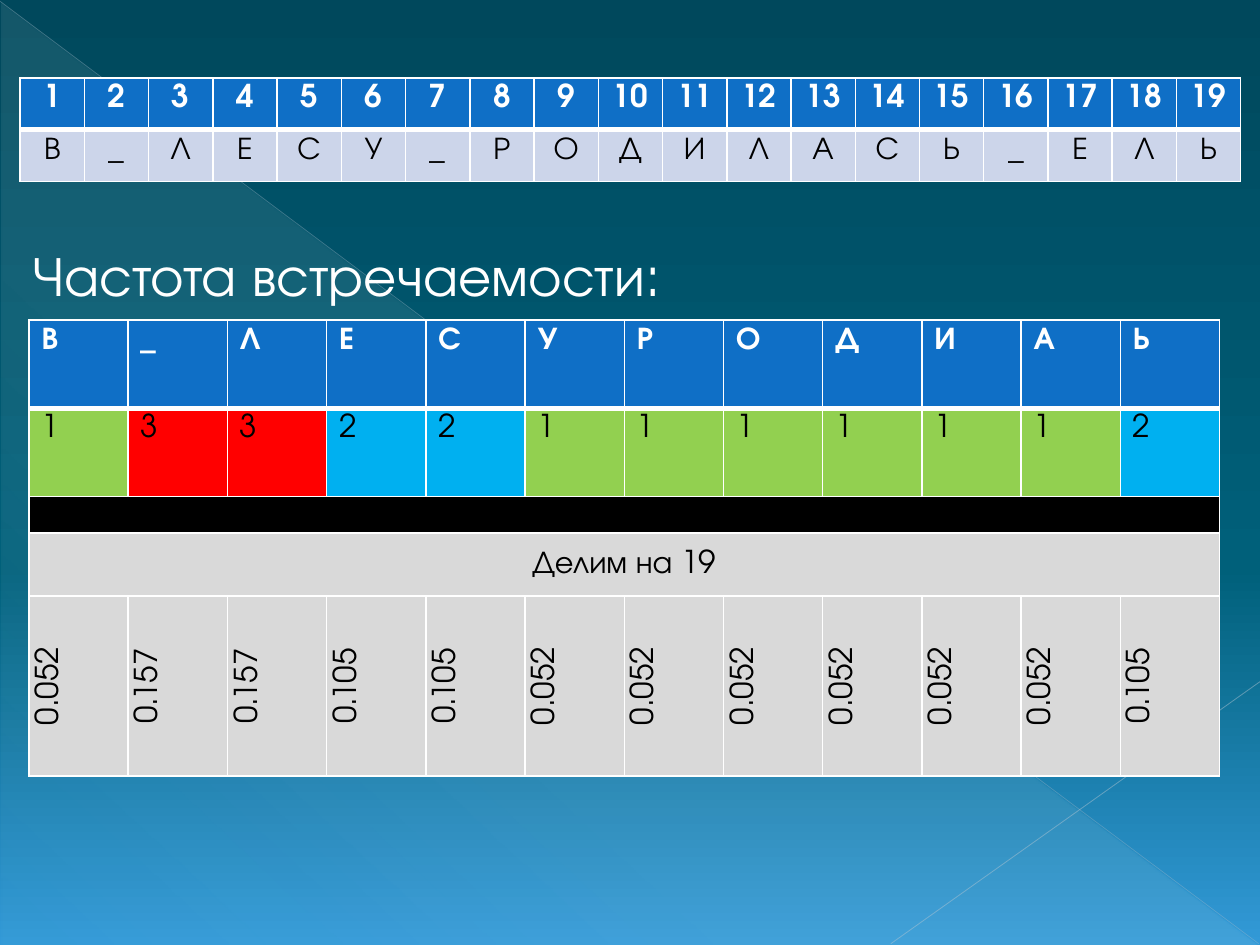
from collections import Counter

from lxml import etree
from pptx import Presentation
from pptx.dml.color import RGBColor
from pptx.enum.shapes import MSO_CONNECTOR, MSO_SHAPE
from pptx.enum.text import MSO_ANCHOR, PP_ALIGN
from pptx.oxml.ns import qn
from pptx.util import Inches, Pt

LEFT, CENTER = PP_ALIGN.LEFT, PP_ALIGN.CENTER
TOP, MIDDLE = MSO_ANCHOR.TOP, MSO_ANCHOR.MIDDLE
STRAIGHT, RIGHT_TRIANGLE = MSO_CONNECTOR.STRAIGHT, MSO_SHAPE.RIGHT_TRIANGLE

WHITE = RGBColor(0xFF, 0xFF, 0xFF)
BLACK = RGBColor(0x00, 0x00, 0x00)
HEADER_BLUE = RGBColor(0x0F, 0x6F, 0xC6)
PALE_BLUE = RGBColor(0xCC, 0xD5, 0xEA)
GREY = RGBColor(0xD9, 0xD9, 0xD9)
COUNT_COLORS = {
    1: RGBColor(0x92, 0xD0, 0x50),
    2: RGBColor(0x00, 0xB0, 0xF0),
    3: RGBColor(0xFF, 0x00, 0x00),
}
SKY_DARK = RGBColor(0x00, 0x48, 0x5C)
SKY_MID = RGBColor(0x00, 0x60, 0x7A)
SKY_LIGHT = RGBColor(0x32, 0x99, 0xD7)
MIST = RGBColor(0xDB, 0xF5, 0xF9)
LONG_RAY = RGBColor(0xAC, 0xC0, 0xCE)
SHORT_RAY = RGBColor(0xB5, 0xC7, 0xD3)

FONT = "TeX Gyre Adventor"
PHRASE = "В_ЛЕСУ_РОДИЛАСЬ_ЕЛЬ"


def sub(parent, tag, **attributes):
    return etree.SubElement(parent, qn(tag), **attributes)


def add_alpha(color_element, percent):
    sub(color_element, "a:alpha", val=str(percent * 1000))


def set_gradient(fill, owner, stops, angle):
    """Fill with stops of (position %, colour, opacity %)."""
    fill.gradient()
    gradient = owner.find(".//" + qn("a:gradFill"))
    for child in list(gradient):
        gradient.remove(child)
    stop_list = sub(gradient, "a:gsLst")
    for position, color, opacity in stops:
        stop = sub(stop_list, "a:gs", pos=str(position * 1000))
        add_alpha(sub(stop, "a:srgbClr", val=str(color)), opacity)
    sub(gradient, "a:lin", ang=str(angle * 60000), scaled="0")


def add_ray(slide, start, end, color, width, opacity):
    ray = slide.shapes.add_connector(
        STRAIGHT, *(Inches(value) for value in start + end))
    ray.line.color.rgb = color
    ray.line.width = Pt(width)
    add_alpha(ray.element.find(".//" + qn("a:srgbClr")), opacity)
    sub(ray.element.spPr, "a:effectLst")


def add_backdrop(slide, width, height):
    set_gradient(slide.background.fill, slide.element,
                 [(0, SKY_DARK, 100), (60, SKY_MID, 100), (100, SKY_LIGHT, 100)], 90)
    veil = slide.shapes.add_shape(RIGHT_TRIANGLE, Inches(0.01), Inches(0.02),
                                  Inches(width - 0.02), Inches(height - 0.02))
    veil.shadow.inherit = False
    veil.line.fill.background()
    set_gradient(veil.fill, veil.element,
                 [(0, MIST, 10), (70, MIST, 8), (100, MIST, 1)], 133)
    add_ray(slide, (0, 0.01), (width - 0.01, height - 0.01), LONG_RAY, 0.39, 35)
    add_ray(slide, (width, 5.41), (7.07, height - 0.01), SHORT_RAY, 0.47, 45)


def add_run(paragraph, text, size, color, bold=False):
    run = paragraph.add_run()
    run.text = text
    run.font.name = FONT
    run.font.size = Pt(size)
    run.font.bold = bold
    run.font.color.rgb = color


def set_borders(cell, bottom):
    properties = cell._tc.get_or_add_tcPr()
    widths = {"a:lnL": 1, "a:lnR": 1, "a:lnT": 1, "a:lnB": bottom}
    for index, (tag, width) in enumerate(widths.items()):
        border = etree.Element(qn(tag), w=str(Pt(width)))
        sub(sub(border, "a:solidFill"), "a:srgbClr", val=str(WHITE))
        properties.insert(index, border)


def style_cell(cell, text, fill, color=BLACK, align=LEFT, anchor=TOP,
               header=False, vertical=False):
    cell.fill.solid()
    cell.fill.fore_color.rgb = fill
    set_borders(cell, bottom=3 if header else 1)
    cell.vertical_anchor = anchor
    if vertical:
        cell._tc.get_or_add_tcPr().set("vert", "vert270")
    paragraph = cell.text_frame.paragraphs[0]
    paragraph.alignment = align
    if text:
        add_run(paragraph, text, 18, color, header)
    else:
        sub(paragraph._p, "a:endParaRPr", sz="1000")


def add_grid(slide, left, top, width, row_heights, columns):
    frame = slide.shapes.add_table(len(row_heights), columns, Inches(left), Inches(top),
                                   Inches(width), Inches(sum(row_heights)))
    table = frame.table
    for column in table.columns:
        column.width = Inches(width / columns)
    for row, height in zip(table.rows, row_heights):
        row.height = Inches(height)
    return table


def add_phrase_table(slide, left, top, width):
    table = add_grid(slide, left, top, width, [0.41, 0.41], len(PHRASE))
    for index, letter in enumerate(PHRASE):
        style_cell(table.cell(0, index), str(index + 1), HEADER_BLUE, WHITE,
                   CENTER, header=True)
        style_cell(table.cell(1, index), letter, PALE_BLUE, align=CENTER)


def add_frequency_table(slide, left, top, width):
    counts = Counter(PHRASE)
    total = len(PHRASE)
    table = add_grid(slide, left, top, width, [0.7, 0.7, 0.29, 0.5, 1.43], len(counts))
    last = len(counts) - 1
    for index, (letter, count) in enumerate(counts.items()):
        # Shares are cut, not rounded, to three digits
        share = f"{count * 1000 // total / 1000:.3f}"
        note = f"Делим на {total}" if index == 0 else ""
        style_cell(table.cell(0, index), letter, HEADER_BLUE, WHITE, header=True)
        style_cell(table.cell(1, index), str(count), COUNT_COLORS[count])
        style_cell(table.cell(2, index), "", BLACK)
        style_cell(table.cell(3, index), note, GREY, align=CENTER, anchor=MIDDLE)
        style_cell(table.cell(4, index), share, GREY, align=CENTER, anchor=MIDDLE,
                   vertical=True)
    for row in (2, 3):
        table.cell(row, 0).merge(table.cell(row, last))


def place_title(slide, left, top, width, height):
    title = slide.shapes.title
    title.left, title.top = Inches(left), Inches(top)
    title.width, title.height = Inches(width), Inches(height)
    title.text_frame.word_wrap = True
    title.text_frame.vertical_anchor = TOP
    paragraph = title.text_frame.paragraphs[0]
    paragraph.alignment = LEFT
    add_run(paragraph, "Частота встречаемости:", 32, WHITE)
    # Bring the title in front of the backdrop
    slide.shapes.element.append(title.element)


presentation = Presentation()
presentation.slide_width, presentation.slide_height = Inches(10), Inches(7.5)
frequency_slide = presentation.slides.add_slide(presentation.slide_layouts[5])
add_backdrop(frequency_slide, 10, 7.5)
add_phrase_table(frequency_slide, 0.16, 0.62, 9.69)
add_frequency_table(frequency_slide, 0.23, 2.54, 9.45)
place_title(frequency_slide, 0.16, 1.86, 6.33, 0.64)
presentation.save("out.pptx")
